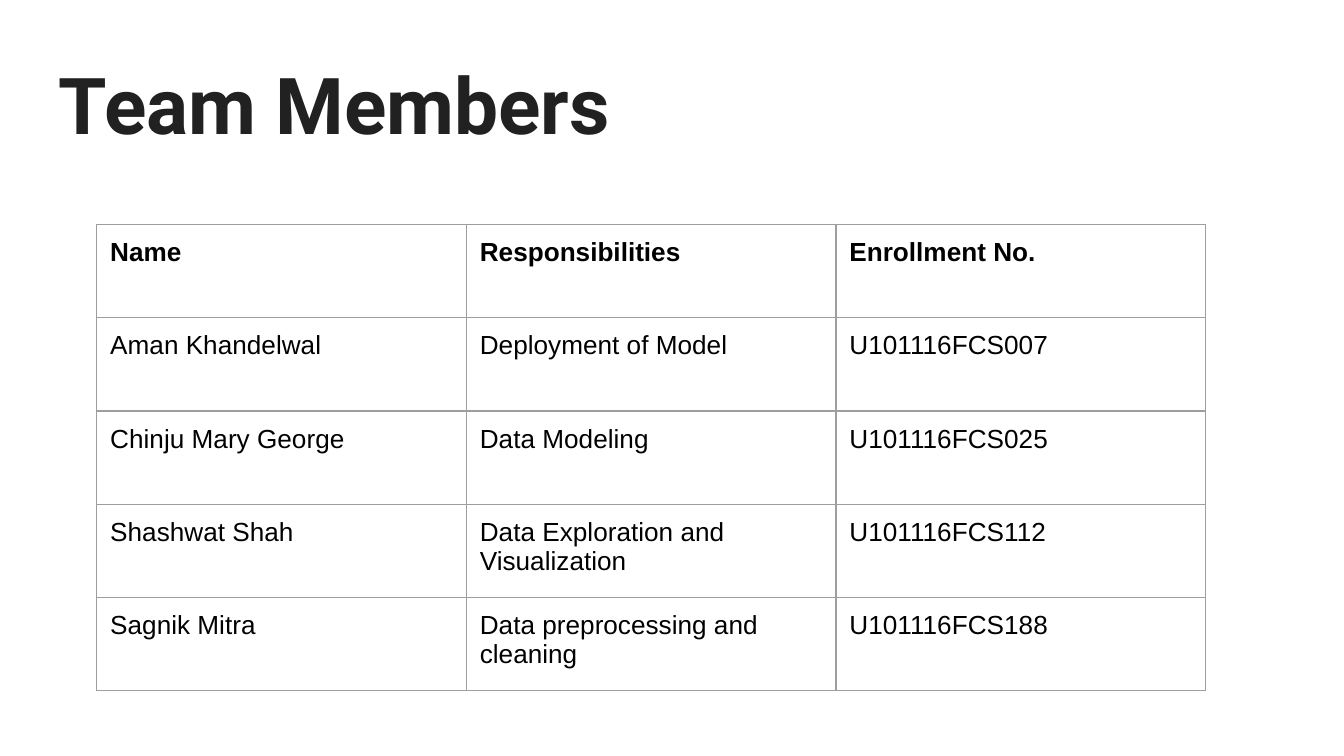
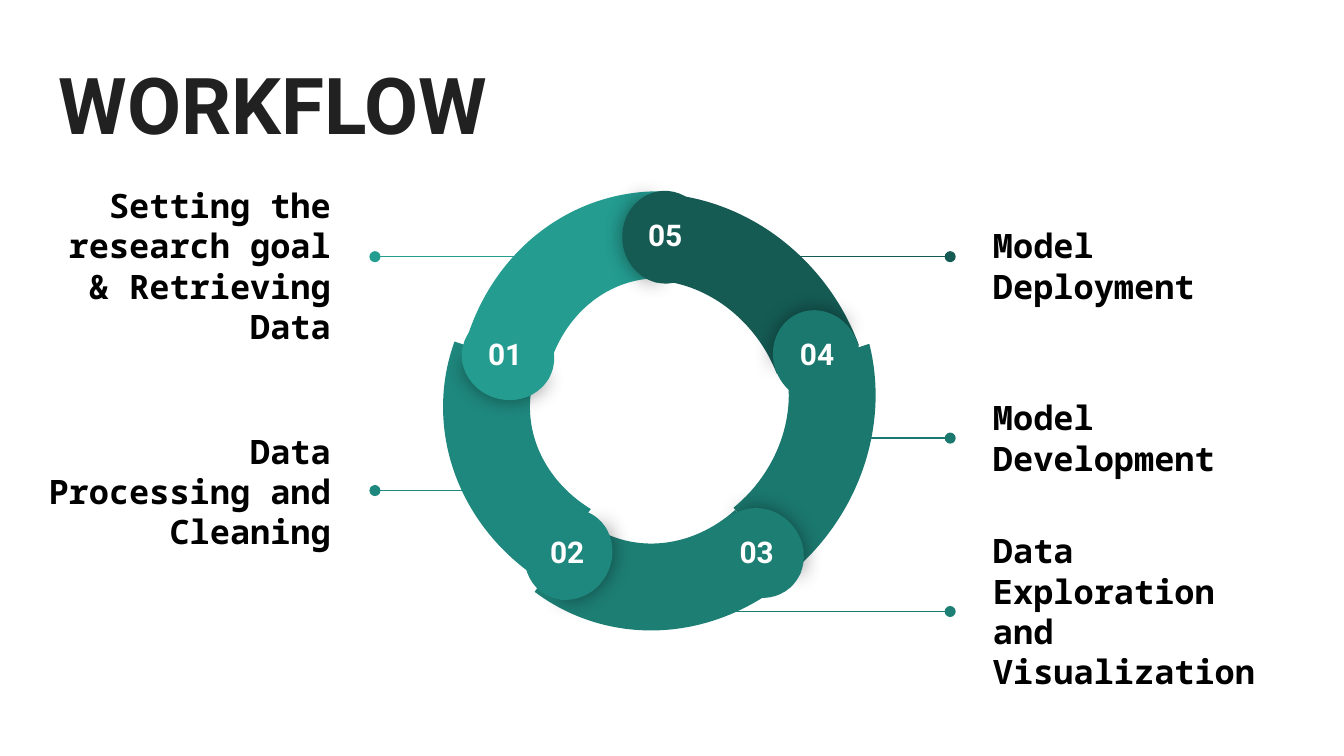
from dataclasses import dataclass

from lxml.etree import SubElement
from pptx import Presentation
from pptx.dml.color import RGBColor
from pptx.enum.shapes import MSO_CONNECTOR, MSO_SHAPE
from pptx.enum.text import MSO_ANCHOR, PP_ALIGN
from pptx.oxml.ns import qn
from pptx.util import Inches, Pt


@dataclass(frozen=True)
class Theme:
    title_color: str = "212121"
    text_color: str = "000000"
    number_color: str = "FFFFFF"
    border_color: str = "9E9E9E"
    title_font: str = "Roboto"
    table_font: str = "Arial"
    label_font: str = "Noto Sans Mono"
    title_size: int = 42
    table_size: int = 14
    label_size: int = 18
    number_size: int = 16
    line_width: float = 0.75
    padding: float = 0.1


THEME = Theme()

STEP_COLORS = {
    "01": "249C90",
    "02": "1F887E",
    "03": "1D7E74",
    "04": "1B786E",
    "05": "155B54",
}

TEAM = [
    ("Name", "Responsibilities", "Enrollment No."),
    ("Aman Khandelwal", "Deployment of Model", "U101116FCS007"),
    ("Chinju Mary George", "Data Modeling", "U101116FCS025"),
    ("Shashwat Shah", "Data Exploration and Visualization", "U101116FCS112"),
    ("Sagnik Mitra", "Data preprocessing and cleaning", "U101116FCS188"),
]

CALLOUTS = [
    ("01", "Setting the research goal & Retrieving Data", "left", 1.42, 1.91, 4.15),
    ("02", "Data Processing and Cleaning", "left", 3.10, 3.65, 3.82),
    ("03", "Data Exploration and Visualization", "right", 3.99, 4.55, 5.03),
    ("05", "Model Deployment", "right", 1.42, 1.91, 5.64),
    ("04", "Model Development", "right", 2.70, 3.26, 6.08),
]
SIDES = {"left": (0.2, 2.79, PP_ALIGN.RIGHT), "right": (7.29, 7.07, PP_ALIGN.LEFT)}
LABEL_SIZE = (2.36, 1.11)

RING = [
    ("arc", "02", (3.41, 1.40, 3.08, 3.31), 277),
    ("arc", "04", (3.26, 1.52, 3.32, 3.08), 132),
    ("arc", "05", (3.27, 1.53, 3.32, 3.08), 60),
    ("disc", "04", (5.73, 2.33, 0.69, 0.64), 67.1),
    ("arc", "03", (3.39, 1.39, 3.08, 3.32), 204),
    ("disc", "02", (3.91, 3.78, 0.64, 0.69), 211.1),
    ("arc", "01", (3.40, 1.42, 3.08, 3.32), 350),
    ("disc", "05", (4.63, 1.42, 0.64, 0.69), 357.1),
    ("disc", "03", (5.33, 3.77, 0.64, 0.69), 139.1),
    ("disc", "01", (3.46, 2.31, 0.64, 0.69), 284.1),
]
ARC_ADJUSTMENTS = (126.03, 168.68, 0.21)
DISC_FRONT = (61.9, 149.96)
DISC_BACK = (40.28, 171.84)
DISC_BACK_TURN = 179.3

NUMBERS = [
    ("05", 4.67, 1.51),
    ("01", 3.48, 2.40),
    ("02", 3.94, 3.87),
    ("03", 5.35, 3.87),
    ("04", 5.80, 2.40),
]
NUMBER_SIZE = (0.56, 0.32)


def write_text(frame, text, font, size, color, bold=True, align=PP_ALIGN.LEFT):
    frame.text = text
    paragraph = frame.paragraphs[0]
    paragraph.alignment = align
    for run in paragraph.runs:
        run.font.name = font
        run.font.size = Pt(size)
        run.font.bold = bold
        run.font.color.rgb = RGBColor.from_string(color)
    return paragraph


def set_margins(target):
    for side in ("left", "top", "right", "bottom"):
        setattr(target, f"margin_{side}", Inches(THEME.padding))


def add_text(slide, box, text, font, size, color, align=PP_ALIGN.LEFT, anchor=MSO_ANCHOR.TOP):
    frame = slide.shapes.add_textbox(*map(Inches, box)).text_frame
    frame.word_wrap = True
    frame.vertical_anchor = anchor
    set_margins(frame)
    return write_text(frame, text, font, size, color, align=align)


def add_titled_slide(presentation, title):
    slide = presentation.slides.add_slide(presentation.slide_layouts[6])
    add_text(slide, (0.34, 0.32, 9.32, 0.88), title,
             THEME.title_font, THEME.title_size, THEME.title_color)
    return slide


def set_cell_borders(cell):
    properties = cell._tc.get_or_add_tcPr()
    for edge in ("lnL", "lnR", "lnT", "lnB"):
        line = SubElement(properties, qn(f"a:{edge}"), w=str(Pt(THEME.line_width)))
        fill = SubElement(line, qn("a:solidFill"))
        SubElement(fill, qn("a:srgbClr"), val=THEME.border_color)


def add_team_table(slide):
    frame = slide.shapes.add_table(
        len(TEAM), len(TEAM[0]), Inches(0.72), Inches(1.67), Inches(8.25), Inches(3.47))
    table = frame.table
    table.first_row = False
    table.horz_banding = False
    for row_index, row in enumerate(TEAM):
        for column_index, text in enumerate(row):
            cell = table.cell(row_index, column_index)
            set_margins(cell)
            write_text(cell.text_frame, text, THEME.table_font, THEME.table_size,
                       THEME.text_color, bold=row_index == 0)
            set_cell_borders(cell)
            cell.fill.background()


def add_callout(slide, number, text, side, label_top, line_y, line_start):
    label_left, line_end, align = SIDES[side]
    connector = slide.shapes.add_connector(
        MSO_CONNECTOR.STRAIGHT, Inches(line_start), Inches(line_y),
        Inches(line_end), Inches(line_y))
    connector.line.color.rgb = RGBColor.from_string(STEP_COLORS[number])
    connector.line.width = Pt(THEME.line_width)
    SubElement(connector.line._get_or_add_ln(), qn("a:tailEnd"), type="oval")
    SubElement(connector._element.spPr, qn("a:effectLst"))
    paragraph = add_text(slide, (label_left, label_top, *LABEL_SIZE), text,
                         THEME.label_font, THEME.label_size, THEME.text_color,
                         align, MSO_ANCHOR.MIDDLE)
    paragraph.space_after = Pt(16)


def add_ring_piece(slide, preset, number, box, rotation, adjustments):
    shape = slide.shapes.add_shape(preset, *map(Inches, box))
    shape.rotation = rotation
    for index, value in enumerate(adjustments):
        shape.adjustments[index] = value
    shape.fill.solid()
    shape.fill.fore_color.rgb = RGBColor.from_string(STEP_COLORS[number])
    shape.line.fill.background()
    shape.shadow.inherit = False
    return shape


def add_soft_shadow(shape):
    effects = shape._element.spPr.find(qn("a:effectLst"))
    shadow = SubElement(effects, qn("a:outerShdw"), blurRad=str(Pt(11.2)),
                        dist="0", dir="0", algn="ctr", rotWithShape="0")
    color = SubElement(shadow, qn("a:srgbClr"), val="000000")
    SubElement(color, qn("a:alpha"), val="43000")


def add_ring(slide):
    for kind, number, box, rotation in RING:
        if kind == "arc":
            add_ring_piece(slide, MSO_SHAPE.BLOCK_ARC, number, box, rotation, ARC_ADJUSTMENTS)
            continue
        front = add_ring_piece(slide, MSO_SHAPE.PIE, number, box, rotation, DISC_FRONT)
        add_soft_shadow(front)
        add_ring_piece(slide, MSO_SHAPE.PIE, number, box,
                       (rotation + DISC_BACK_TURN) % 360, DISC_BACK)
    for number, left, top in NUMBERS:
        add_text(slide, (left, top, *NUMBER_SIZE), number, THEME.title_font,
                 THEME.number_size, THEME.number_color, PP_ALIGN.CENTER)


def main():
    presentation = Presentation()
    presentation.slide_width = Inches(10)
    presentation.slide_height = Inches(10) * 9 // 16
    add_team_table(add_titled_slide(presentation, "Team Members"))
    workflow = add_titled_slide(presentation, "WORKFLOW")
    for callout in CALLOUTS:
        add_callout(workflow, *callout)
    add_ring(workflow)
    presentation.save("out.pptx")


if __name__ == "__main__":
    main()
